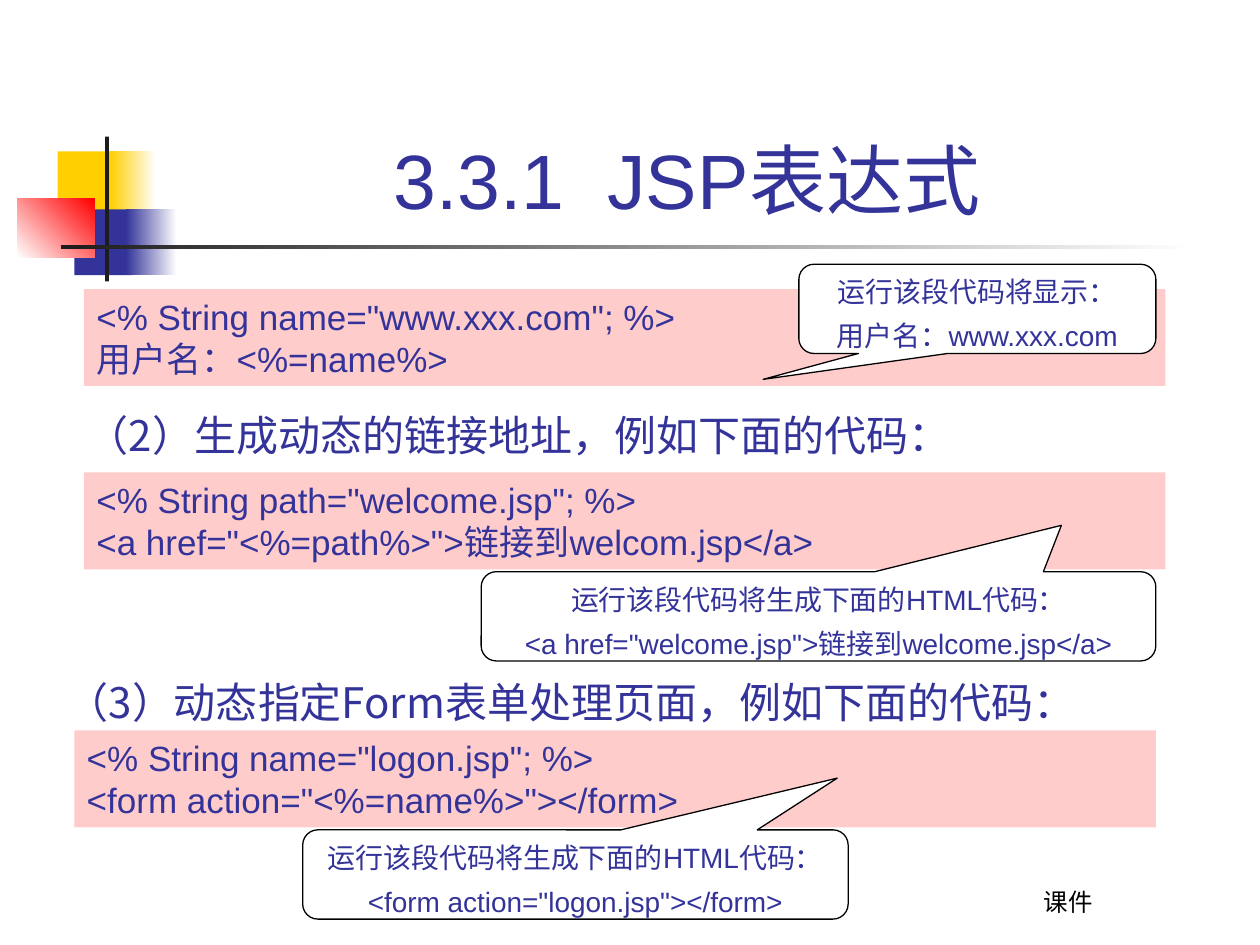
from dataclasses import dataclass
from typing import Optional

import pptx
import pptx.dml.color
import pptx.enum.shapes
import pptx.enum.text
import pptx.util

Pt = pptx.util.Pt
SHAPES = pptx.enum.shapes.MSO_SHAPE
ALIGN = pptx.enum.text.PP_ALIGN
ANCHOR = pptx.enum.text.MSO_ANCHOR

COLORS = {
    "navy": "333399",
    "yellow": "FFCF01",
    "red": "FF0000",
    "black": "000000",
    "charcoal": "1C1C1C",
    "pink": "FFCCCC",
    "white": "FFFFFF",
}


@dataclass
class Box:
    left: float
    top: float
    width: float
    height: float


@dataclass
class Ornament:
    box: Box
    color: str
    fade_to: Optional[str] = None
    angle: float = 0


@dataclass
class Style:
    size: float
    font: str = "Arial"
    color: str = "navy"
    align: ALIGN = ALIGN.LEFT
    anchor: ANCHOR = ANCHOR.TOP
    gap: float = 0


@dataclass
class Label:
    box: Box
    text: str
    style: Style


@dataclass
class Callout:
    box: Box
    tip: tuple[float, float]
    lines: list[str]


@dataclass
class Example:
    left: float
    top: float
    code: list[str]
    callout: Callout


TITLE = Style(44, align=ALIGN.CENTER, anchor=ANCHOR.BOTTOM)
HEADING = Style(24, font="Noto Sans CJK SC")
FOOTER = Style(14, font="Cabin", color="black", align=ALIGN.CENTER, anchor=ANCHOR.BOTTOM)
CODE = Style(20)
RESULT = Style(16, align=ALIGN.CENTER, gap=6)

CODE_WIDTH, CODE_HEIGHT = 618, 55.4
CALLOUT_HEIGHT = 51

ORNAMENTS = [
    Ornament(Box(33, 86.5, 34.5, 37.5), "yellow"),
    Ornament(Box(63, 86.5, 26, 37.5), "yellow", "white"),
    Ornament(Box(42.5, 119.7, 33, 37.5), "navy"),
    Ornament(Box(72, 119.7, 29, 37.5), "navy", "white"),
    Ornament(Box(10, 113.7, 44, 33.5), "white", "red", 45),
    Ornament(Box(60, 78, 2.3, 82.8), "charcoal"),
    Ornament(Box(34.7, 140, 648, 2.5), "charcoal", "white"),
]

LABELS = [
    Label(Box(496.5, 491, 228, 36), "课件", FOOTER),
    Label(Box(85.8, 17, 613.5, 115), "3.3.1  JSP表达式", TITLE),
    Label(Box(42.5, 230.4, 646.5, 36), "（2）生成动态的链接地址，例如下面的代码：", HEADING),
    Label(Box(31, 383.3, 646.5, 36), "（3）动态指定Form表单处理页面，例如下面的代码：", HEADING),
]

EXAMPLES = [
    Example(48, 165.2, ['<% String name="www.xxx.com"; %>', "用户名：<%=name%>"],
            Callout(Box(456.5, 151, 204, CALLOUT_HEIGHT), (-0.6, 0.79),
                    ["运行该段代码将显示：", "用户名：www.xxx.com"])),
    Example(48, 270, ['<% String path="welcome.jsp"; %>',
                      '<a href="<%=path%>">链接到welcom.jsp</a>'],
            Callout(Box(275, 326.7, 385.5, CALLOUT_HEIGHT), (0.36, -1.02),
                    ["运行该段代码将生成下面的HTML代码：",
                     '<a href="welcome.jsp">链接到welcome.jsp</a>'])),
    Example(42.5, 417.4, ['<% String name="logon.jsp"; %>',
                          '<form action="<%=name%>"></form>'],
            Callout(Box(173, 474.2, 311.7, CALLOUT_HEIGHT), (0.48, -1.08),
                    ["运行该段代码将生成下面的HTML代码：",
                     '<form action="logon.jsp"></form>'])),
]


def rgb(name: str) -> pptx.dml.color.RGBColor:
    return pptx.dml.color.RGBColor.from_string(COLORS[name])


def place(box: Box) -> tuple:
    return Pt(box.left), Pt(box.top), Pt(box.width), Pt(box.height)


def write(frame, lines: list[str], style: Style) -> None:
    frame_format = {
        "word_wrap": True,
        "vertical_anchor": style.anchor,
        "margin_left": Pt(7.2),
        "margin_right": Pt(7.2),
        "margin_top": Pt(3.6),
        "margin_bottom": Pt(3.6),
    }
    for key, value in frame_format.items():
        setattr(frame, key, value)
    for index, line in enumerate(lines):
        paragraph = frame.paragraphs[0] if index == 0 else frame.add_paragraph()
        paragraph.alignment = style.align
        if index and style.gap:
            paragraph.space_before = Pt(style.gap)
        run = paragraph.add_run()
        run.text = line
        for key, value in {"size": Pt(style.size), "name": style.font}.items():
            setattr(run.font, key, value)
        run.font.color.rgb = rgb(style.color)


def add_filled(slide, kind: SHAPES, box: Box, color: str):
    shape = slide.shapes.add_shape(kind, *place(box))
    shape.shadow.inherit = False
    shape.fill.solid()
    shape.fill.fore_color.rgb = rgb(color)
    shape.line.fill.background()
    return shape


def draw_ornament(slide, ornament: Ornament) -> None:
    shape = add_filled(slide, SHAPES.RECTANGLE, ornament.box, ornament.color)
    if ornament.fade_to:
        shape.fill.gradient()
        shape.fill.gradient_angle = ornament.angle
        for stop, color in zip(shape.fill.gradient_stops, (ornament.color, ornament.fade_to)):
            stop.color.rgb = rgb(color)


def draw_label(slide, label: Label) -> None:
    write(slide.shapes.add_textbox(*place(label.box)).text_frame, [label.text], label.style)


def draw_example(slide, example: Example) -> None:
    code_box = Box(example.left, example.top, CODE_WIDTH, CODE_HEIGHT)
    code = add_filled(slide, SHAPES.RECTANGLE, code_box, "pink")
    write(code.text_frame, example.code, CODE)
    callout = example.callout
    bubble = add_filled(slide, SHAPES.ROUNDED_RECTANGULAR_CALLOUT, callout.box, "white")
    for index, value in enumerate((*callout.tip, 0.17)):
        bubble.adjustments[index] = value
    bubble.line.color.rgb = rgb("black")
    bubble.line.width = Pt(0.75)
    write(bubble.text_frame, callout.lines, RESULT)


def main() -> None:
    deck = pptx.Presentation()
    deck.slide_width, deck.slide_height = Pt(720), Pt(540)
    slide = deck.slides.add_slide(deck.slide_layouts[6])
    for ornament in ORNAMENTS:
        draw_ornament(slide, ornament)
    for label in LABELS:
        draw_label(slide, label)
    for example in EXAMPLES:
        draw_example(slide, example)
    deck.save("out.pptx")


if __name__ == "__main__":
    main()
